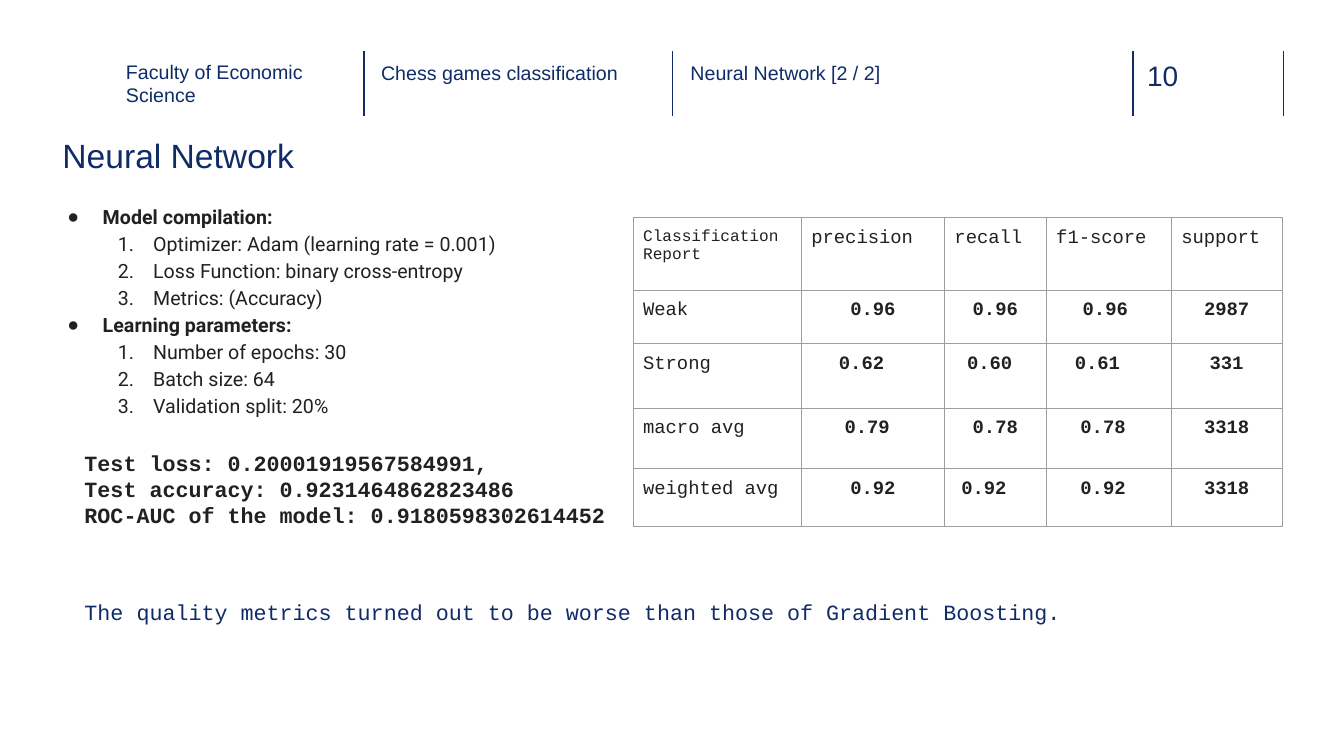
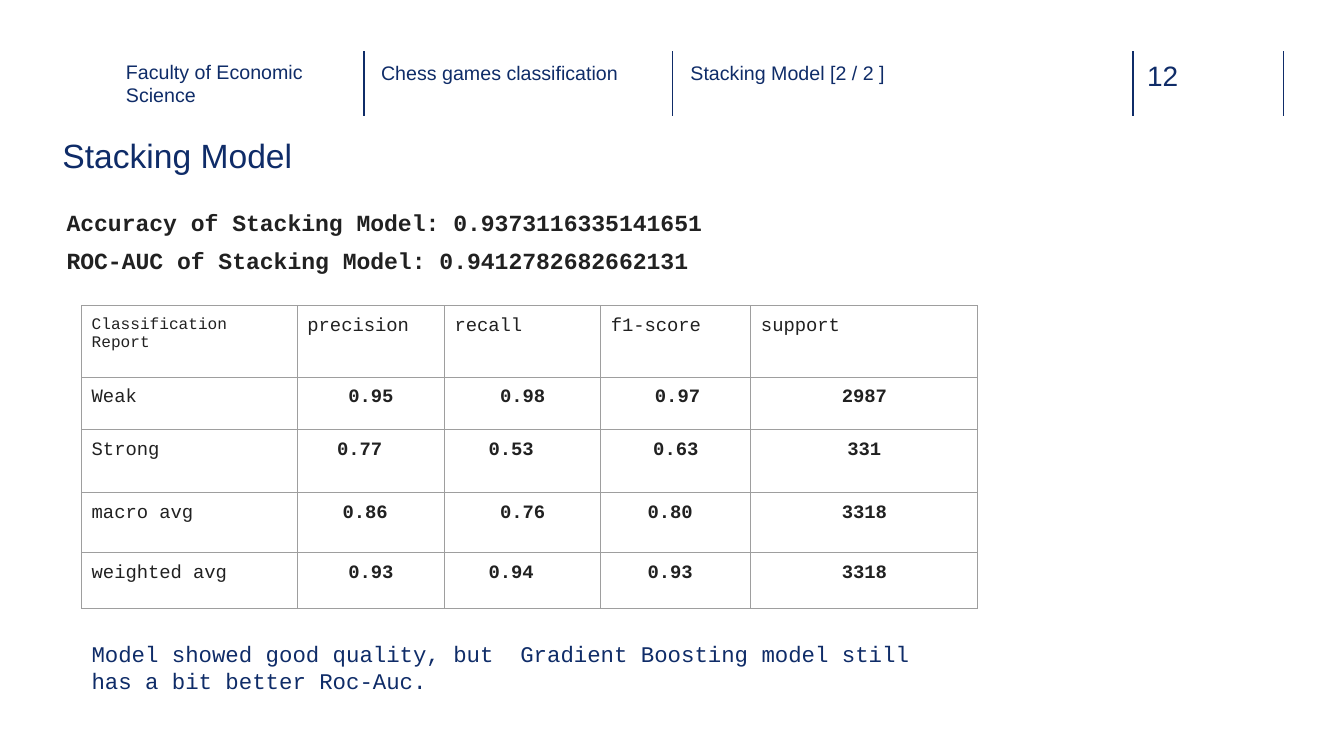
import pptx
import pptx.util
import pptx.dml.color
import pptx.enum.shapes
import pptx.enum.text
from lxml import etree

Pt = pptx.util.Pt
RGB = pptx.dml.color.RGBColor
ALIGN = pptx.enum.text.PP_ALIGN
NAVY = RGB(0x0F, 0x2C, 0x68)
INK = RGB(0x21, 0x21, 0x21)
GREY = RGB(0x9E, 0x9E, 0x9E)
WHITE = RGB(0xFF, 0xFF, 0xFF)
NS = "http://schemas.openxmlformats.org/drawingml/2006/main"

HEAD = dict(name="Arial", size=Pt(14), bold=False)
PAGE = dict(HEAD, size=Pt(20))
TITLE = dict(HEAD, size=Pt(24))
LIST = dict(name="Roboto", size=Pt(14))
MONO = dict(name="Courier New", size=Pt(13.5), bold=False)
SMALL = dict(MONO, size=Pt(11.5))
VALUE = dict(MONO, bold=True)
PAD = 7.2
CHAR = 8.1  # width of one character in the table, in points

DIVIDERS = (260, 480.2, 809.3, 916.6)
TOP, BOTTOM = 36.7, 82.8
UNIT, TOPIC = "Faculty of Economic Science", "Chess games classification"
COLUMNS = ("Classification Report", "precision", "recall", "f1-score", "support")

# Each table value is paired with its shift left of centre, in half characters.
SLIDES = [
    dict(
        page="10", title="Neural Network", part="Neural Network [2 / 2]",
        items=[
            ("Model compilation:", [
                "Optimizer: Adam (learning rate = 0.001)",
                "Loss Function: binary cross-entropy",
                "Metrics: (Accuracy)"]),
            ("Learning parameters:", [
                "Number of epochs: 30", "Batch size: 64",
                "Validation split: 20%"]),
        ],
        body=(30.2, 136.8, 511.2, 167.8),
        scores=["Test loss: 0.20001919567584991,",
                "Test accuracy: 0.9231464862823486",
                "ROC-AUC of the model: 0.9180598302614452"],
        score_box=(53.3, 313.9, 391.7, 70.6), score_size=15.5, spacing=1,
        table=(452.2, 155.5),
        widths=(120.2, 102.2, 72.7, 89.3, 79.2),
        heights=(51.8, 38.2, 46.1, 43.2, 41),
        rows=[
            ("Weak", ("0.96", 0), ("0.96", 0), ("0.96", 0.6), ("2987", 0)),
            ("Strong", ("0.62", 2), ("0.60", 1), ("0.61", 2), ("331", 0)),
            ("macro avg", ("0.79", 1), ("0.78", 0), ("0.78", 1), ("3318", 0)),
            ("weighted avg", ("0.92", 0), ("0.92", 2), ("0.92", 1), ("3318", 0)),
        ],
        note="The quality metrics turned out to be worse than those of "
             "Gradient Boosting.",
        note_box=(53.3, 420.5, 731.5, 33.1), note_size=15.5,
    ),
    dict(
        page="12", title="Stacking Model", part="Stacking Model [2 / 2 ]",
        items=[],
        scores=["Accuracy of Stacking Model: 0.9373116335141651",
                "ROC-AUC of Stacking Model: 0.9412782682662131"],
        score_box=(40.3, 134.6, 797, 92.9), score_size=16.5, spacing=1.36,
        table=(58.3, 218.2),
        widths=(154.1, 105.1, 111.6, 107.3, 162),
        heights=(51.1, 37.4, 45.4, 42.5, 40.3),
        rows=[
            ("Weak", ("0.95", 0), ("0.98", 0), ("0.97", -0.3), ("2987", 0)),
            ("Strong", ("0.77", 2), ("0.53", 2), ("0.63", 0), ("331", 0)),
            ("macro avg", ("0.86", 1), ("0.76", 0), ("0.80", 1), ("3318", 0)),
            ("weighted avg", ("0.93", 0), ("0.94", 2), ("0.93", 1), ("3318", 0)),
        ],
        note="Model showed good quality, but  Gradient Boosting model still "
             "has a bit better Roc-Auc.",
        note_box=(58.3, 450, 602.6, 53.3), note_size=16,
    ),
]


def add(root, tag, **attrs):
    return etree.SubElement(root, f"{{{NS}}}{tag}", attrs)


def style(para, font, color):
    for key, value in font.items():
        setattr(para.font, key, value)
    para.font.color.rgb = color


def fill(shape, box, lines, font, color, pad=0, spacing=1):
    """Place a shape and give it plain left-aligned lines; return them."""
    for key, value in zip(("left", "top", "width", "height"), box):
        setattr(shape, key, Pt(value))
    frame = shape.text_frame
    form = dict(word_wrap=True, auto_size=pptx.enum.text.MSO_AUTO_SIZE.NONE,
                vertical_anchor=pptx.enum.text.MSO_ANCHOR.TOP)
    for side in ("left", "top", "right", "bottom"):
        form["margin_" + side] = Pt(pad)
    for key, value in form.items():
        setattr(frame, key, value)
    frame.text = "\n".join(lines)
    for para in frame.paragraphs:
        para.alignment = ALIGN.LEFT
        para.space_before = Pt(0)
        para.line_spacing = spacing
        style(para, font, color)
        mark(para)
    return frame.paragraphs


def mark(para, left=0, hang=0, kind="buNone", **attrs):
    """Set the indent and the bullet of a paragraph."""
    props = para._p.get_or_add_pPr()
    for old in props.findall(f"{{{NS}}}buNone"):
        props.remove(old)
    props.set("marL", str(int(Pt(left))))
    props.set("indent", str(-int(Pt(hang))))
    add(props, kind, **attrs)


def outline(shapes, items, box):
    lines = [(text, level) for head, subs in items
             for text, level in [(head, 0)] + [(sub, 1) for sub in subs]]
    paras = fill(shapes, box, [text for text, _ in lines], LIST, INK, PAD, 1.15)
    for para, (_, level) in zip(paras, lines):
        para.level = level
        para.font.bold = level == 0
        if level:
            mark(para, 72, 25.2, "buAutoNum", type="arabicPeriod")
        else:
            mark(para, 36, 25.2, "buChar", char="●")
    paras[0].space_before = Pt(6)


def border(cell):
    props = cell._tc.get_or_add_tcPr()
    for spot, tag in enumerate(("lnL", "lnR", "lnT", "lnB")):
        line = etree.Element(f"{{{NS}}}{tag}", w=str(int(Pt(0.75))))
        add(add(line, "solidFill"), "srgbClr", val=str(GREY))
        props.insert(spot, line)


def report(slide, data):
    rows = [COLUMNS] + data["rows"]
    widths, heights = data["widths"], data["heights"]
    size = (sum(widths), sum(heights))
    grid = slide.shapes.add_table(len(rows), len(COLUMNS),
                                  *map(Pt, data["table"] + size)).table
    grid.first_row = grid.horz_banding = False
    for col, width in zip(grid.columns, widths):
        col.width = Pt(width)
    for r, (row, height) in enumerate(zip(rows, heights)):
        grid.rows[r].height = Pt(height)
        for c, item in enumerate(row):
            cell = grid.cell(r, c)
            value = isinstance(item, tuple)
            text, shift = item if value else (item, 0)
            cell.text = text
            cell.fill.solid()
            cell.fill.fore_color.rgb = WHITE
            border(cell)
            for side in ("left", "top", "bottom"):
                setattr(cell, "margin_" + side, Pt(PAD))
            cell.margin_right = Pt(PAD + shift * CHAR)
            para = cell.text_frame.paragraphs[0]
            para.alignment = ALIGN.CENTER if value else ALIGN.LEFT
            font = VALUE if value else MONO if r or c else SMALL
            style(para, font, INK)


def rule(slide, master):
    """Draw the header dividers and hand them to the master."""
    for x in DIVIDERS:
        line = slide.shapes.add_connector(
            pptx.enum.shapes.MSO_CONNECTOR.STRAIGHT,
            Pt(x), Pt(TOP), Pt(x), Pt(BOTTOM))
        line.line.color.rgb = NAVY
        line.line.width = Pt(1)
        add(line.element.spPr, "effectLst")
        master.shapes.element.append(line.element)


def text_box(slide):
    return slide.shapes.add_textbox(0, 0, 0, 0)


def build(deck, data):
    slide = deck.slides.add_slide(deck.slide_layouts.get_by_name("Comparison"))
    holders = slide.placeholders
    fill(slide.shapes.title, (44.6, 96.5, 870.5, 38.2), [data["title"]],
         TITLE, NAVY)
    heads = ((90, 42.5, 149.8, 32.4, UNIT), (272.2, 43.2, 190, 32.4, TOPIC),
             (493.2, 43.2, 162.7, 32.4, data["part"]))
    for key, (*box, text) in enumerate(heads, 1):
        fill(holders[key], box, [text], HEAD, NAVY)
    fill(text_box(slide), (819.4, 41.8, 52.6, 24.5), [data["page"]], PAGE, NAVY)
    scores = holders[4]
    if data["items"]:
        outline(holders[4], data["items"], data["body"])
        scores = text_box(slide)
    fill(scores, data["score_box"], data["scores"],
         dict(VALUE, size=Pt(data["score_size"])), INK, PAD, data["spacing"])
    report(slide, data)
    fill(text_box(slide), data["note_box"], [data["note"]],
         dict(MONO, size=Pt(data["note_size"])), NAVY, PAD)
    return slide


def main():
    deck = pptx.Presentation()
    deck.slide_width, deck.slide_height = Pt(960), Pt(540)
    slides = [build(deck, data) for data in SLIDES]
    rule(slides[0], deck.slide_master)
    deck.save("out.pptx")


if __name__ == "__main__":
    main()
